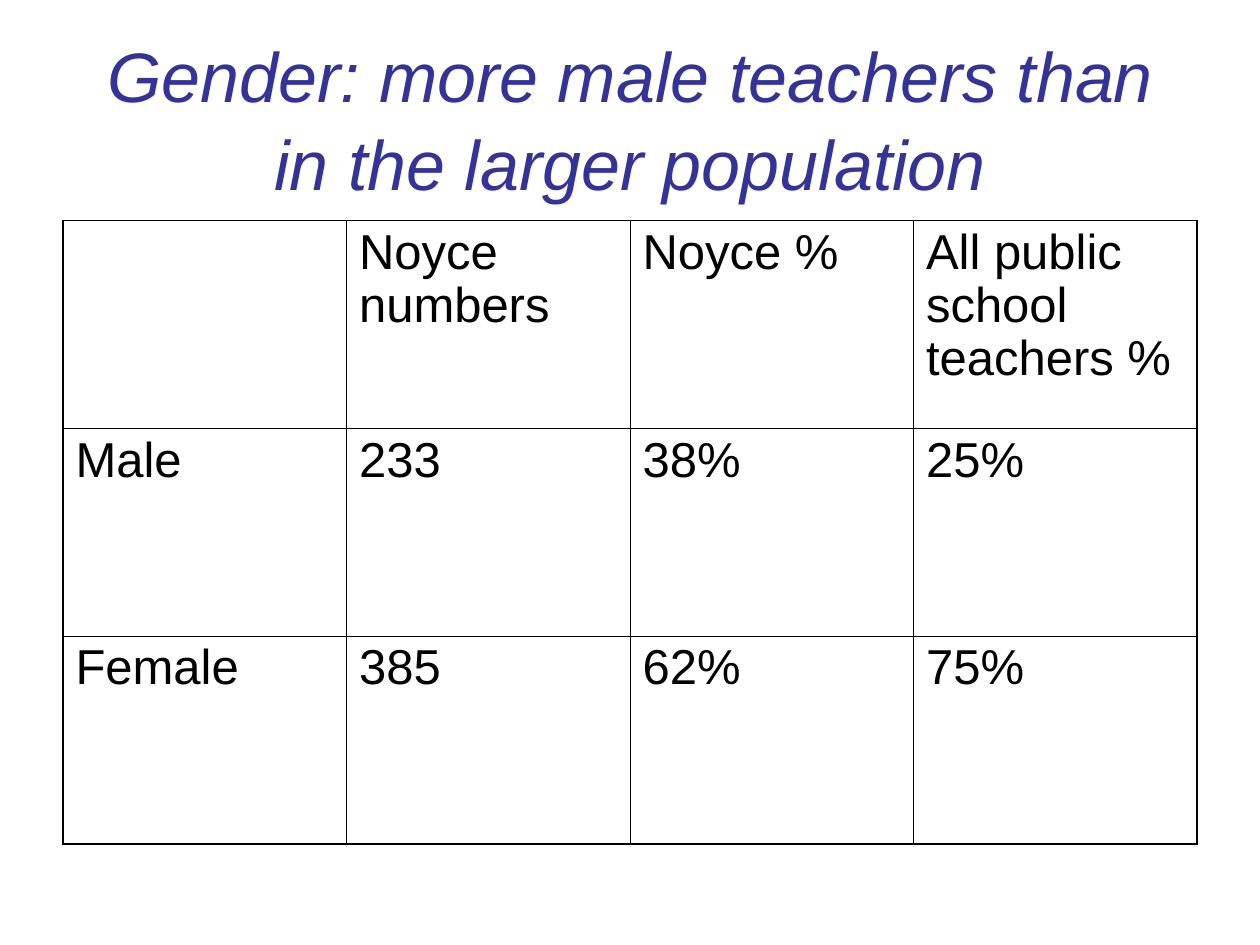
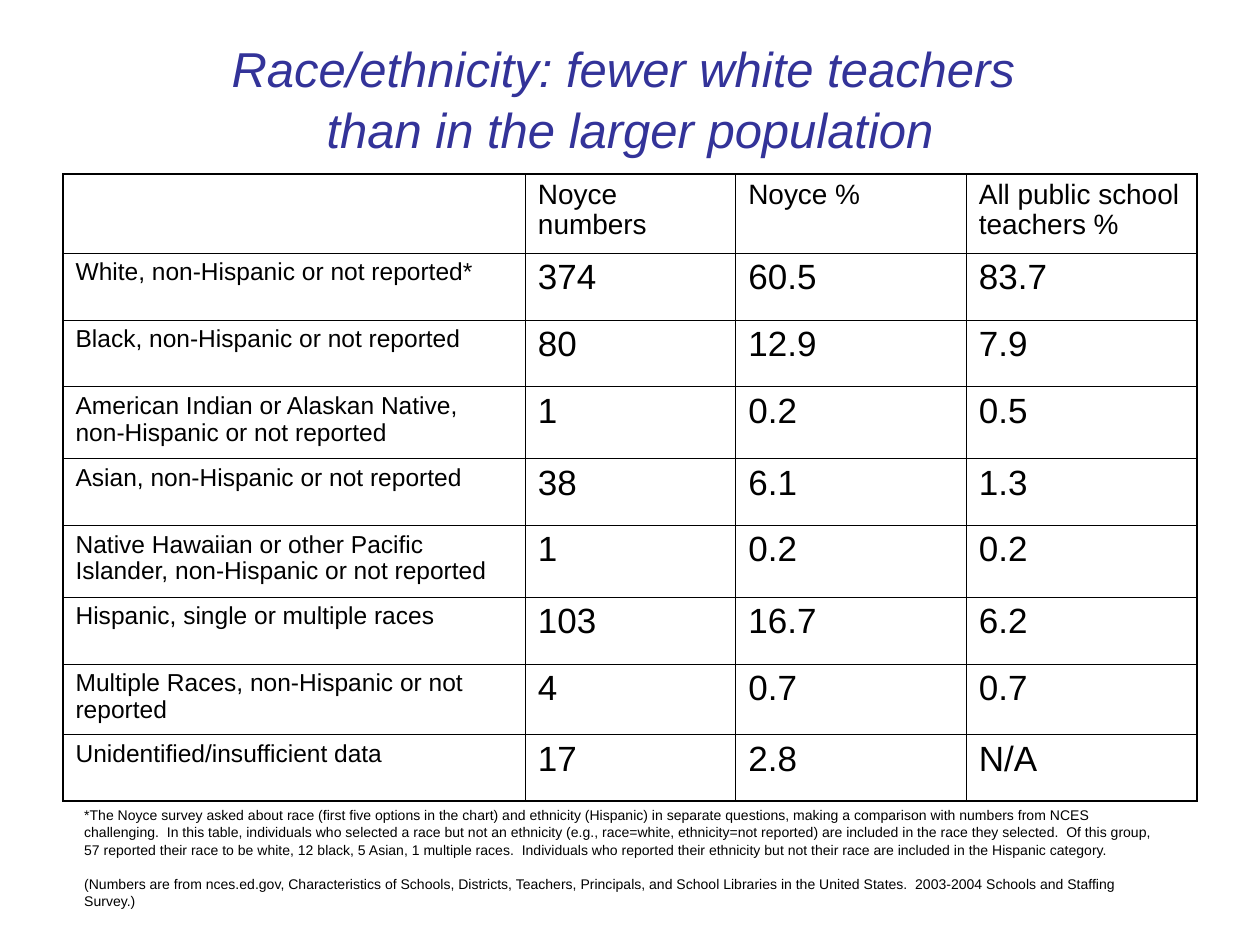
from lxml.etree import SubElement
from pptx import Presentation
from pptx.dml.color import RGBColor
from pptx.enum.text import MSO_ANCHOR, PP_ALIGN
from pptx.oxml.ns import qn
from pptx.util import Pt

EMU_PER_PX = 9144  # 100 px to the inch
FONT = "Arial"
COLORS = {"title": "333399", "text": "000000", "grid": "000000"}
TITLE_SPACING, TABLE_SPACING, NOTE_SPACING = 1.05, 0.97, 1.03
OUTER_LINE, INNER_LINE = Pt(1.08), Pt(0.45)

GENDER_ROWS = [
    ("", "Noyce numbers", "Noyce %", "All public school teachers %"),
    ("Male", "233", "38%", "25%"),
    ("Female", "385", "62%", "75%"),
]
RACE_ROWS = [
    ("", "Noyce numbers", "Noyce %", "All public school teachers %"),
    ("White, non-Hispanic or not reported*", "374", "60.5", "83.7"),
    ("Black, non-Hispanic or not reported", "80", "12.9", "7.9"),
    ("American Indian or Alaskan Native, non-Hispanic or not reported", "1", "0.2", "0.5"),
    ("Asian, non-Hispanic or not reported", "38", "6.1", "1.3"),
    ("Native Hawaiian or other Pacific Islander, non-Hispanic or not reported",
     "1", "0.2", "0.2"),
    ("Hispanic, single or multiple races", "103", "16.7", "6.2"),
    ("Multiple Races, non-Hispanic or not reported", "4", "0.7", "0.7"),
    ("Unidentified/insufficient data", "17", "2.8", "N/A"),
]
FOOTNOTES = [
    "*The Noyce survey asked about race (first five options in the chart) and ethnicity "
    "(Hispanic) in separate questions, making a comparison with numbers from NCES "
    "challenging.  In this table, individuals who selected a race but not an ethnicity "
    "(e.g., race=white, ethnicity=not reported) are included in the race they selected.  "
    "Of this group, 57 reported their race to be white, 12 black, 5 Asian, 1 multiple "
    "races.  Individuals who reported their ethnicity but not their race are included in "
    "the Hispanic category.",
    "(Numbers are from nces.ed.gov, Characteristics of Schools, Districts, Teachers, "
    "Principals, and School Libraries in the United States.  2003-2004 Schools and "
    "Staffing Survey.)",
]


def px(length):
    return length * EMU_PER_PX


def add_span(para, text, size, color="text", italic=False):
    span = para.add_run()
    span.text = text
    span.font.name = FONT
    span.font.size = Pt(size)
    span.font.italic = italic
    span.font.color.rgb = RGBColor.from_string(COLORS[color])


def add_paragraphs(page, box, lines, size, spacing, gap=0, **style):
    """Put lines into a wrapping text box, gap points apart; return its frame."""
    frame = page.shapes.add_textbox(*map(px, box)).text_frame
    frame.word_wrap = True
    for index, line in enumerate(lines):
        para = frame.add_paragraph() if index else frame.paragraphs[0]
        para.line_spacing = spacing
        if index:
            para.space_before = Pt(gap)
        add_span(para, line, size, **style)
    return frame


def add_title(page, box, lines, size):
    frame = add_paragraphs(page, box, lines, size, TITLE_SPACING,
                           color="title", italic=True)
    frame.vertical_anchor = MSO_ANCHOR.MIDDLE
    for para in frame.paragraphs:
        para.alignment = PP_ALIGN.CENTER


def set_borders(cell, outer_sides):
    properties = cell._tc.get_or_add_tcPr()
    for side in "LRTB":
        width = OUTER_LINE if side in outer_sides else INNER_LINE
        line = SubElement(properties, qn(f"a:ln{side}"), w=str(int(width)))
        fill = SubElement(line, qn("a:solidFill"))
        SubElement(fill, qn("a:srgbClr"), val=COLORS["grid"])


def add_grid(page, left, top, widths, heights, rows, sizes):
    """Add a ruled table; sizes holds the header, label and value text sizes."""
    header_size, label_size, value_size = sizes
    table = page.shapes.add_table(len(rows), len(widths), px(left), px(top),
                                  px(sum(widths)), px(sum(heights))).table
    table.first_row = table.horz_banding = False
    for column, width in zip(table.columns, widths):
        column.width = px(width)
    for row, height in zip(table.rows, heights):
        row.height = px(height)
    last_row, last_column = len(rows) - 1, len(widths) - 1
    for r, values in enumerate(rows):
        for c, value in enumerate(values):
            cell = table.cell(r, c)
            edges = {"T": r == 0, "B": r == last_row, "L": c == 0, "R": c == last_column}
            set_borders(cell, [side for side, on_edge in edges.items() if on_edge])
            cell.fill.background()
            if value:
                para = cell.text_frame.paragraphs[0]
                para.line_spacing = TABLE_SPACING
                size = header_size if r == 0 else label_size if c == 0 else value_size
                add_span(para, value, size)


def build_gender(page):
    add_title(page, (50, 30, 900, 125),
              ["Gender: more male teachers than in the larger population"], 40)
    add_grid(page, 50, 175, [225] * 4, [165] * 3, GENDER_ROWS, (28, 28, 28))


def build_race(page):
    add_grid(page, 50, 138, [367, 167, 183, 183],
             [63, 53, 53, 57, 53, 57, 53, 56, 53], RACE_ROWS, (16, 14, 20))
    add_paragraphs(page, (57, 635, 877, 90), FOOTNOTES, 8, NOTE_SPACING, gap=9.5)
    add_title(page, (50, 25, 900, 104),
              ["Race/ethnicity: fewer white teachers ", "than in the larger population"], 28)


def main():
    deck = Presentation()
    deck.slide_width, deck.slide_height = px(1000), px(750)
    blank = deck.slide_layouts[6]
    for build in (build_gender, build_race):
        build(deck.slides.add_slide(blank))
    deck.save("out.pptx")


if __name__ == "__main__":
    main()
